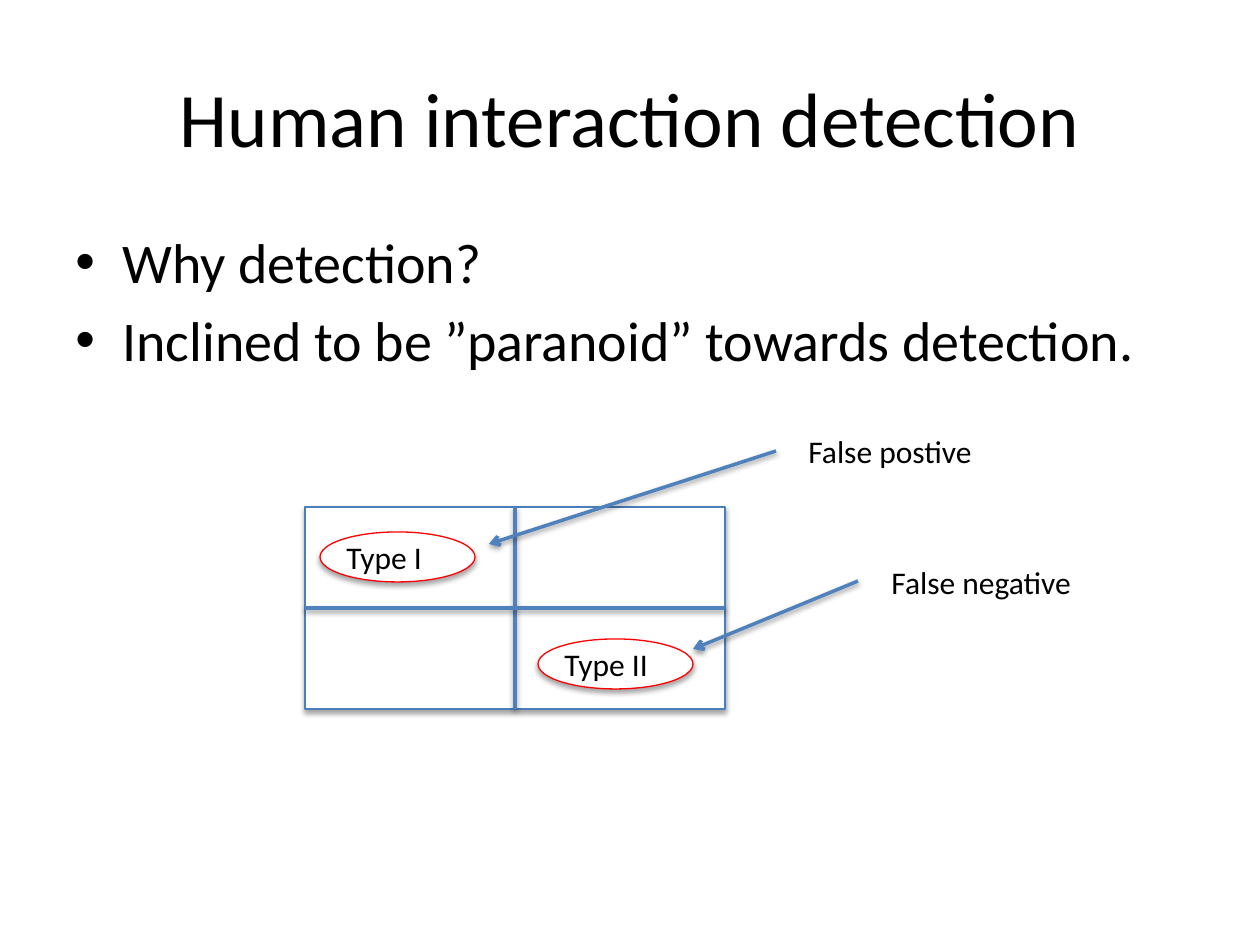
from dataclasses import dataclass

from lxml import etree
from pptx import Presentation
from pptx.dml.color import RGBColor
from pptx.enum.shapes import MSO_CONNECTOR, MSO_SHAPE
from pptx.enum.text import MSO_ANCHOR, MSO_AUTO_SIZE, PP_ALIGN
from pptx.oxml import parse_xml
from pptx.oxml.ns import nsdecls, qn
from pptx.util import Emu, Pt

RECT, OVAL, STRAIGHT = MSO_SHAPE.RECTANGLE, MSO_SHAPE.OVAL, MSO_CONNECTOR.STRAIGHT
MIDDLE, CENTER = MSO_ANCHOR.MIDDLE, PP_ALIGN.CENTER
FIT_SHAPE = MSO_AUTO_SIZE.SHAPE_TO_FIT_TEXT

BLACK = RGBColor(0x00, 0x00, 0x00)
WHITE = RGBColor(0xFF, 0xFF, 0xFF)
RED = RGBColor(0xFF, 0x00, 0x00)
BLUE = RGBColor(0x4F, 0x81, 0xBD)
FRAME_BLUE = RGBColor(0x4B, 0x7E, 0xBC)

FONT = "Calibri"
PX_PER_INCH = 126
LABEL_H = 50
OVAL_W = 155
BULLET_INDENT = 47


@dataclass
class ErrorType:
    """An error type in the matrix and the callout that explains it."""
    name: str
    x: int
    y: int
    callout: str
    callout_x: int
    callout_y: int
    callout_w: int
    arrow_from: tuple[int, int]
    arrow_to: tuple[int, int]


TITLE = "Human interaction detection"
BULLETS = ["Why detection?", "Inclined to be ”paranoid” towards detection."]
ERRORS = [
    ErrorType("Type II", 538, 639, "False negative", 879, 557, 207, (858, 581), (693, 649)),
    ErrorType("Type I", 320, 532, "False postive", 796, 426, 190, (776, 451), (489, 544)),
]


def px(n: int) -> Emu:
    return Emu(round(n * 914400 / PX_PER_INCH))


def format_text(tf, size: int) -> None:
    for p in tf.paragraphs:
        for r in p.runs:
            r.font.name, r.font.size = FONT, Pt(size)
            r.font.color.rgb = BLACK


def add_shadow(s, distance: float, alpha: int) -> None:
    s._element.spPr.append(parse_xml(
        f'<a:effectLst {nsdecls("a")}>'
        f'<a:outerShdw blurRad="{Pt(3.1)}" dist="{Pt(distance)}" dir="5400000" rotWithShape="0">'
        f'<a:srgbClr val="000000"><a:alpha val="{alpha * 1000}"/></a:srgbClr>'
        '</a:outerShdw></a:effectLst>'))


def add_outlined(slide, kind, x: int, y: int, w: int, h: int, color: RGBColor, width: float):
    s = slide.shapes.add_shape(kind, px(x), px(y), px(w), px(h))
    s.fill.solid()
    s.fill.fore_color.rgb = WHITE
    s.line.color.rgb, s.line.width = color, Pt(width)
    add_shadow(s, 1.8, 35)
    return s


def add_line(slide, start: tuple[int, int], end: tuple[int, int], arrow: bool = False):
    c = slide.shapes.add_connector(STRAIGHT, *map(px, start + end))
    c.line.color.rgb, c.line.width = BLUE, Pt(2)
    if arrow:
        etree.SubElement(c.line._get_or_add_ln(), qn("a:tailEnd"), type="arrow")
    add_shadow(c, 1.6, 38)
    return c


def add_label(slide, text: str, x: int, y: int, w: int, wrap: bool) -> None:
    tf = slide.shapes.add_textbox(px(x), px(y), px(w), px(LABEL_H)).text_frame
    tf.text = text
    tf.word_wrap, tf.auto_size = wrap, FIT_SHAPE
    format_text(tf, 18)


def add_title(slide, text: str) -> None:
    s = slide.shapes.title
    s.left, s.top, s.width, s.height = px(63), px(38), px(1134), px(158)
    tf = s.text_frame
    tf.text = text
    tf.vertical_anchor = MIDDLE
    tf.paragraphs[0].alignment = CENTER
    format_text(tf, 44)


def add_bullets(slide, lines: list[str]) -> None:
    tf = slide.shapes.add_textbox(px(63), px(221), px(1134), px(624)).text_frame
    tf.word_wrap = True
    tf.text = "\n".join(lines)
    for p in tf.paragraphs:
        p.space_before = Pt(6.4)
        pPr = p._p.get_or_add_pPr()
        pPr.set("marL", str(px(BULLET_INDENT)))
        pPr.set("indent", str(-px(BULLET_INDENT)))
        etree.SubElement(pPr, qn("a:buFont"), typeface="Arial")
        etree.SubElement(pPr, qn("a:buChar"), char="•")
    format_text(tf, 32)


def add_matrix(slide, x: int, y: int, w: int, h: int) -> None:
    frame = add_outlined(slide, RECT, x, y, w, h, FRAME_BLUE, 1.5)
    mid_x, mid_y = x + w // 2, y + h // 2
    dividers = [((mid_x, y), (mid_x, y + h), 0, 2), ((x, mid_y), (x + w, mid_y), 1, 3)]
    for start, end, start_site, end_site in dividers:
        c = add_line(slide, start, end)
        c.begin_connect(frame, start_site)
        c.end_connect(frame, end_site)


def add_error(slide, e: ErrorType) -> None:
    add_outlined(slide, OVAL, e.x, e.y, OVAL_W, LABEL_H, RED, 0.75)
    add_label(slide, e.name, e.x + 14, e.y, 218, wrap=True)
    add_line(slide, e.arrow_from, e.arrow_to, arrow=True)
    add_label(slide, e.callout, e.callout_x, e.callout_y, e.callout_w, wrap=False)


def main() -> None:
    prs = Presentation()
    prs.slide_width, prs.slide_height = px(1260), px(945)
    slide = prs.slides.add_slide(prs.slide_layouts[5])

    # Heading and bullets
    add_title(slide, TITLE)
    add_bullets(slide, BULLETS)

    # Two-by-two matrix with its marked error types
    add_matrix(slide, 305, 507, 420, 202)
    for error in ERRORS:
        add_error(slide, error)

    prs.save("out.pptx")


if __name__ == "__main__":
    main()
